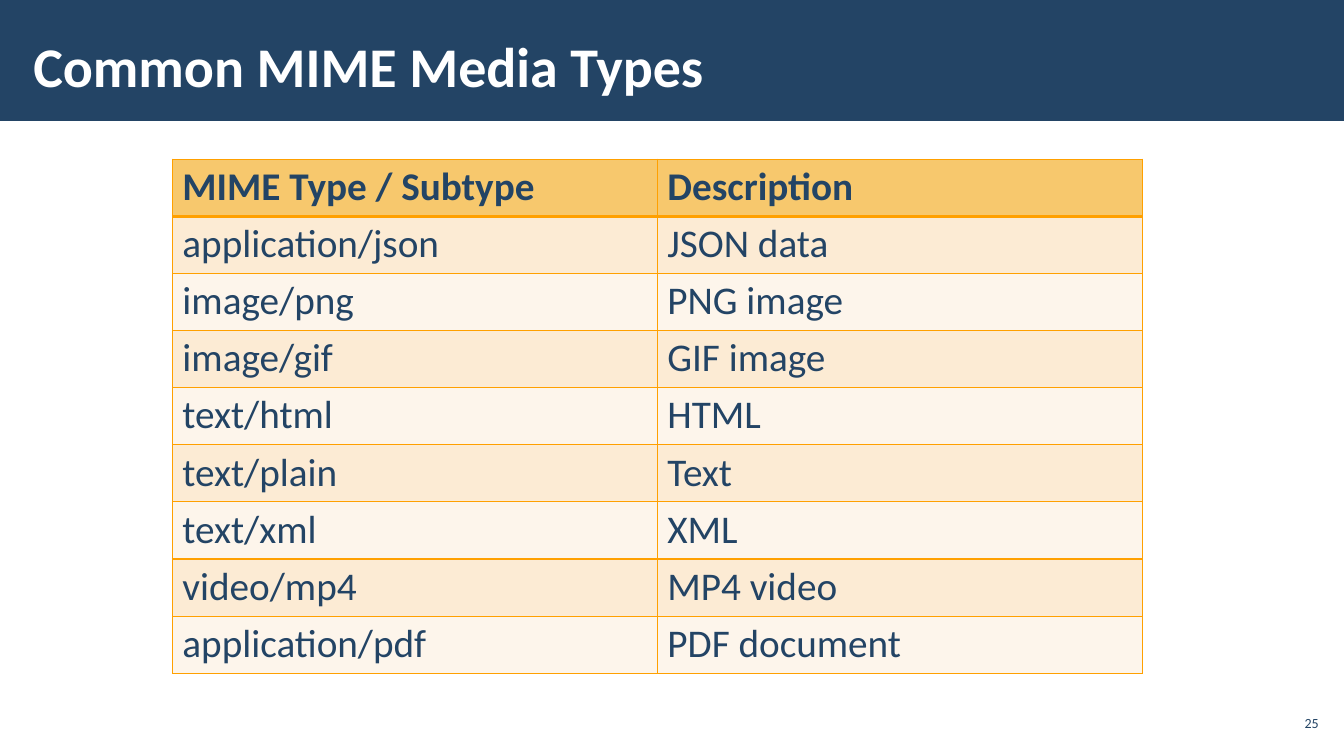
from dataclasses import dataclass

from lxml import etree
from pptx import Presentation
from pptx.dml.color import RGBColor
from pptx.enum.shapes import MSO_SHAPE
from pptx.enum.text import MSO_ANCHOR, PP_ALIGN
from pptx.oxml.ns import qn
from pptx.table import _Cell
from pptx.text.text import TextFrame
from pptx.util import Inches, Pt

RECTANGLE = MSO_SHAPE.RECTANGLE
MIDDLE = MSO_ANCHOR.MIDDLE
LEFT, RIGHT = PP_ALIGN.LEFT, PP_ALIGN.RIGHT

FONT = "Calibri"
COLORS = {
    "navy": "234465",
    "white": "FFFFFF",
    "border": "FFA000",
    "header": "F7C86D",
    "odd_row": "FCEBD4",
    "even_row": "FDF5EB",
}


@dataclass
class MediaType:
    mime: str
    description: str


HEADER = MediaType("MIME Type / Subtype", "Description")
MEDIA_TYPES = [
    MediaType("application/json", "JSON data"),
    MediaType("image/png", "PNG image"),
    MediaType("image/gif", "GIF image"),
    MediaType("text/html", "HTML"),
    MediaType("text/plain", "Text"),
    MediaType("text/xml", "XML"),
    MediaType("video/mp4", "MP4 video"),
    MediaType("application/pdf", "PDF document"),
]


def rgb(name: str) -> RGBColor:
    return RGBColor.from_string(COLORS[name])


def write(frame: TextFrame, text: str, *, size: float, color: str = "navy",
          bold: bool = False, align: PP_ALIGN = LEFT) -> None:
    frame.word_wrap = True
    paragraph = frame.paragraphs[0]
    paragraph.alignment = align
    run = paragraph.add_run()
    run.text = text
    run.font.name = FONT
    run.font.size = Pt(size)
    run.font.bold = bold
    run.font.color.rgb = rgb(color)


def set_margins(target: TextFrame | _Cell, side: float, vertical: float) -> None:
    target.margin_left = target.margin_right = Inches(side)
    target.margin_top = target.margin_bottom = Inches(vertical)


def set_borders(cell: _Cell, widths: dict[str, float]) -> None:
    """Put left, right, top and bottom lines ahead of the cell's fill."""
    properties = cell._tc.get_or_add_tcPr()
    for index, (side, width) in enumerate(widths.items()):
        line = etree.Element(qn(f"a:ln{side}"), w=str(Pt(width)))
        fill = etree.SubElement(line, qn("a:solidFill"))
        etree.SubElement(fill, qn("a:srgbClr"), val=COLORS["border"])
        properties.insert(index, line)


def main() -> None:
    prs = Presentation()
    prs.slide_width, prs.slide_height = Inches(13.33), Inches(7.5)
    slide = prs.slides.add_slide(prs.slide_layouts[5])

    # Title on its band
    title = slide.shapes.title
    band = slide.shapes.add_shape(RECTANGLE, 0, 0, prs.slide_width, Inches(1.2))
    band.shadow.inherit = False
    band.fill.solid()
    band.fill.fore_color.rgb = rgb("navy")
    band.line.fill.background()
    band.element.addnext(title.element)
    title.left, title.top = Inches(0.21), Inches(0.04)
    title.width, title.height = Inches(10.47), Inches(1.21)
    title.text_frame.vertical_anchor = MIDDLE
    set_margins(title.text_frame, 0.12, 0.04)
    write(title.text_frame, "Common MIME Media Types", size=40, color="white", bold=True)

    # Table of media types
    rows = [HEADER, *MEDIA_TYPES]
    media_table = slide.shapes.add_table(
        len(rows), 2, Inches(1.71), Inches(1.58), Inches(9.62), Inches(5.1)).table
    for row, media in enumerate(rows):
        is_header = row == 0
        fill = "header" if is_header else "odd_row" if row % 2 else "even_row"
        borders = {"L": 1, "R": 1, "T": 3 if row == 1 else 1, "B": 3 if is_header else 1}
        for column, text in enumerate((media.mime, media.description)):
            cell = media_table.cell(row, column)
            cell.fill.solid()
            cell.fill.fore_color.rgb = rgb(fill)
            set_margins(cell, 0.1, 0.04)
            set_borders(cell, borders)
            write(cell.text_frame, text, size=28, bold=is_header)

    # Page number
    page_number = slide.shapes.add_textbox(
        Inches(12.65), Inches(7), Inches(0.47), Inches(0.34)).text_frame
    page_number.vertical_anchor = MIDDLE
    set_margins(page_number, 0.04, 0.04)
    write(page_number, "25", size=10, align=RIGHT)

    prs.save("out.pptx")


if __name__ == "__main__":
    main()
